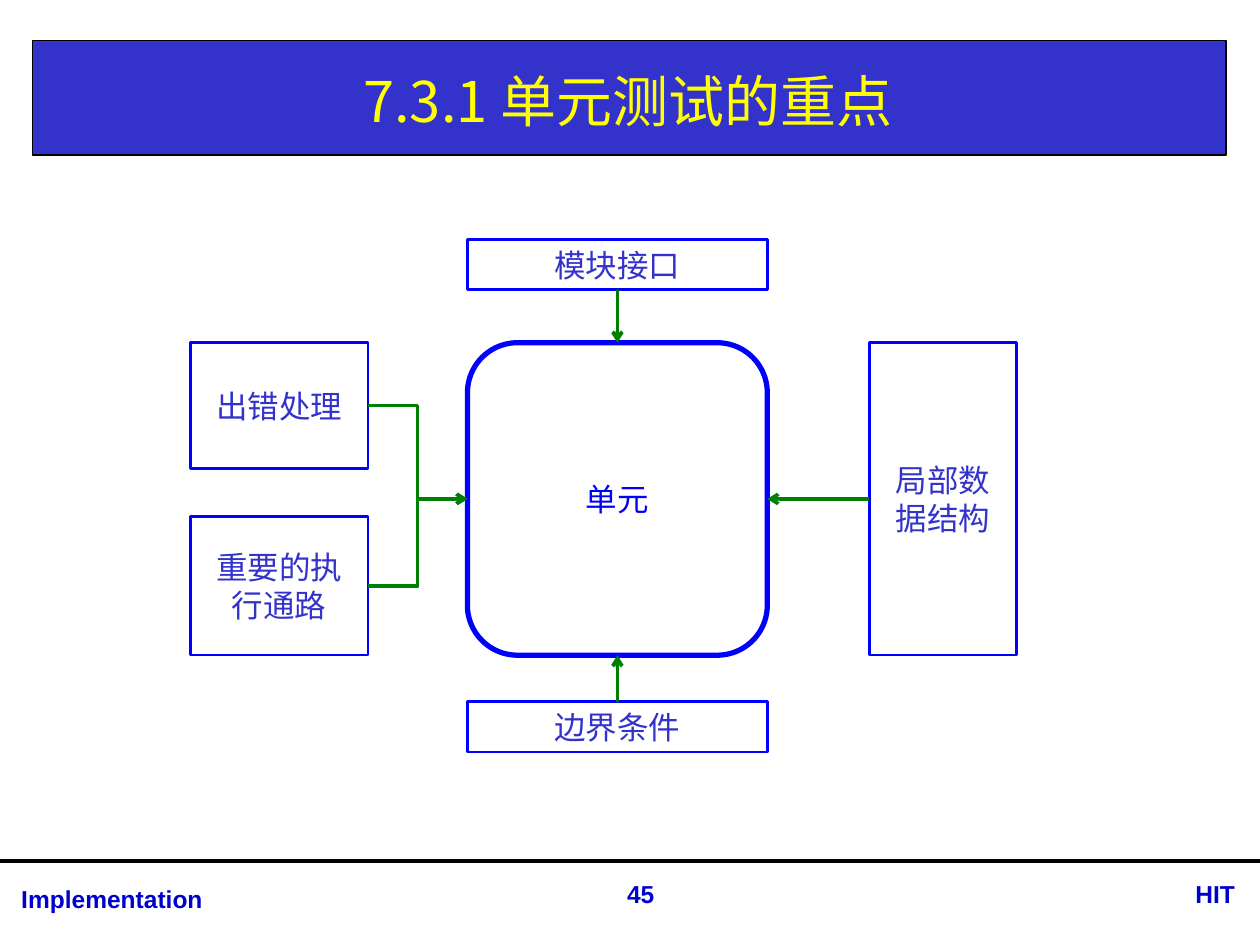
from lxml import etree
from pptx import Presentation
from pptx import util as u
from pptx.dml.color import RGBColor
from pptx.enum import shapes, text
from pptx.oxml.ns import qn

BLACK = RGBColor(0x00, 0x00, 0x00)
WHITE = RGBColor(0xFF, 0xFF, 0xFF)
YELLOW = RGBColor(0xFF, 0xFF, 0x00)
INDIGO = RGBColor(0x33, 0x33, 0xCC)
BLUE = RGBColor(0x00, 0x00, 0xFF)
FOOTER_BLUE = RGBColor(0x00, 0x00, 0xCC)
GREEN = RGBColor(0x00, 0x80, 0x00)

LATIN_FONT = "Arial"
CHINESE_FONT = "Noto Sans CJK SC"
CENTER = text.PP_ALIGN.CENTER


class SlideBuilder:
    """Holds the slide and draws styled elements on it."""

    def __init__(self, slide):
        self.slide = slide

    def add_text(self, shape, words, size, color, font=CHINESE_FONT,
                 align=CENTER, bold=False, anchor=text.MSO_ANCHOR.MIDDLE):
        frame = shape.text_frame
        frame.word_wrap = True
        frame.auto_size = text.MSO_AUTO_SIZE.NONE
        frame.vertical_anchor = anchor
        paragraph = frame.paragraphs[0]
        paragraph.alignment = align
        run = paragraph.add_run()
        run.text = words
        run.font.size = u.Pt(size)
        run.font.bold = bold
        run.font.color.rgb = color
        run.font.name = font
        east_asian = etree.SubElement(run.font._element, qn("a:ea"))
        east_asian.set("typeface", font)

    def title(self, words, left, top, width, height):
        shape = self.slide.shapes.title
        shape.left, shape.top = u.Inches(left), u.Inches(top)
        shape.width, shape.height = u.Inches(width), u.Inches(height)
        self.slide.shapes._spTree.append(shape._element)  # above the banner
        self.add_text(shape, words, 32, YELLOW)

    def box(self, left, top, width, height, line, weight, fill=None,
            opacity=100, kind=shapes.MSO_SHAPE.RECTANGLE):
        shape = self.slide.shapes.add_shape(
            kind, u.Inches(left), u.Inches(top), u.Inches(width), u.Inches(height))
        shape.shadow.inherit = False
        shape.line.color.rgb = line
        shape.line.width = u.Pt(weight)
        if fill is None:
            shape.fill.background()
        else:
            shape.fill.solid()
            shape.fill.fore_color.rgb = fill
        if opacity < 100:
            color = shape._element.spPr.find(qn("a:solidFill")).find(qn("a:srgbClr"))
            etree.SubElement(color, qn("a:alpha")).set("val", str(opacity * 1000))
        return shape

    def topic(self, words, left, top, width, height):
        shape = self.box(left, top, width, height, BLUE, 1.5, WHITE, 60)
        self.add_text(shape, words, 18, INDIGO)

    def label(self, words, left, top, width, align):
        shape = self.slide.shapes.add_textbox(
            u.Inches(left), u.Inches(top), u.Inches(width), u.Inches(0.34))
        self.add_text(shape, words, 14, FOOTER_BLUE, LATIN_FONT, align, True,
                      text.MSO_ANCHOR.TOP)

    def connector(self, start, end, color, weight, arrow=False,
                  kind=shapes.MSO_CONNECTOR.STRAIGHT):
        connector = self.slide.shapes.add_connector(
            kind, *(u.Inches(value) for value in (*start, *end)))
        connector.line.color.rgb = color
        connector.line.width = u.Pt(weight)
        if arrow:
            line = connector.line._get_or_add_ln()
            etree.SubElement(line, qn("a:tailEnd")).set("type", "arrow")
        etree.SubElement(connector._element.spPr, qn("a:effectLst"))

    def arrow(self, start, end, kind=shapes.MSO_CONNECTOR.STRAIGHT):
        self.connector(start, end, GREEN, 2, True, kind)


def main():
    presentation = Presentation()
    presentation.slide_width = u.Inches(10)
    presentation.slide_height = u.Inches(7.5)
    slide = presentation.slides.add_slide(presentation.slide_layouts[5])
    builder = SlideBuilder(slide)

    # Title banner
    builder.box(0.26, 0.32, 9.47, 0.91, BLACK, 0.75, INDIGO)
    builder.title("7.3.1 单元测试的重点", 0.26, 0.36, 9.45, 0.87)

    # Footer
    builder.connector((0, 6.83), (10, 6.83), BLACK, 2.25)
    builder.label("Implementation", 0.07, 6.97, 3.85, text.PP_ALIGN.LEFT)
    builder.label("45", 4.57, 6.93, 1.03, CENTER)
    builder.label("HIT", 8.87, 6.93, 1.03, text.PP_ALIGN.RIGHT)

    # Unit under test
    left, top, width, height = 3.71, 2.72, 2.38, 2.48
    right, bottom = left + width, top + height
    center, middle = left + width / 2, top + height / 2
    unit = builder.box(left, top, width, height, BLUE, 3,
                       kind=shapes.MSO_SHAPE.ROUNDED_RECTANGLE)
    builder.add_text(unit, "单元", 18, BLUE)

    # Topics above, below and to the right, each with a straight arrow
    bar_height, upper_top, lower_top, side_left = 0.4, 1.9, 5.57, 6.9
    builder.topic("模块接口", left, upper_top, width, bar_height)
    builder.topic("边界条件", left, lower_top, width, bar_height)
    builder.topic("局部数据结构", side_left, top, 1.17, height)
    builder.arrow((center, upper_top + bar_height), (center, top))
    builder.arrow((center, lower_top), (center, bottom))
    builder.arrow((side_left, middle), (right, middle))

    # Topics on the left, joined by elbow arrows
    topic_left, topic_width = 1.51, 1.41
    for words, topic_top, topic_height in (("出错处理", top, 1.0),
                                           ("重要的执行通路", 4.1, 1.1)):
        builder.topic(words, topic_left, topic_top, topic_width, topic_height)
        builder.arrow((topic_left + topic_width, topic_top + topic_height / 2),
                      (left, middle), shapes.MSO_CONNECTOR.ELBOW)

    presentation.save("out.pptx")


if __name__ == "__main__":
    main()
